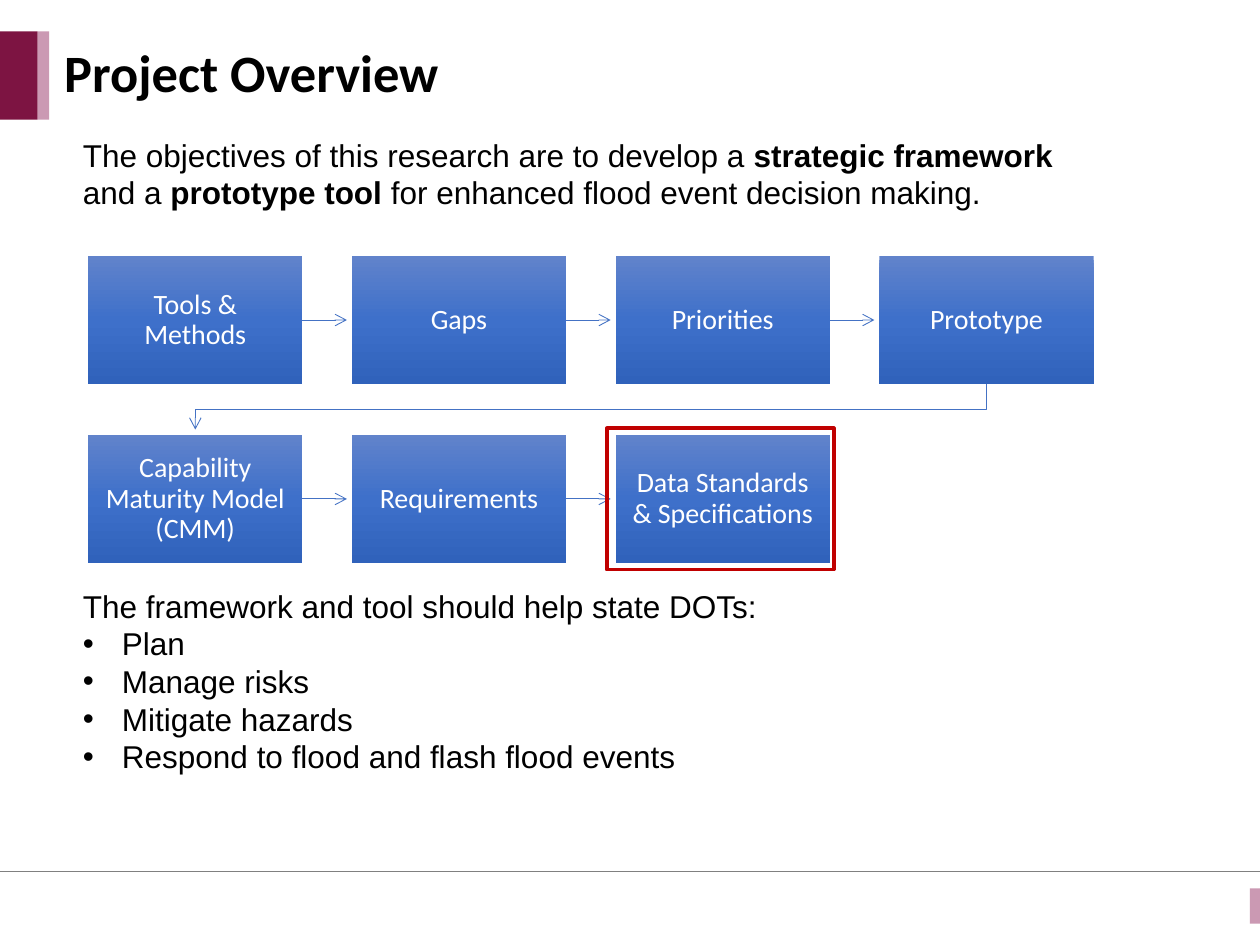
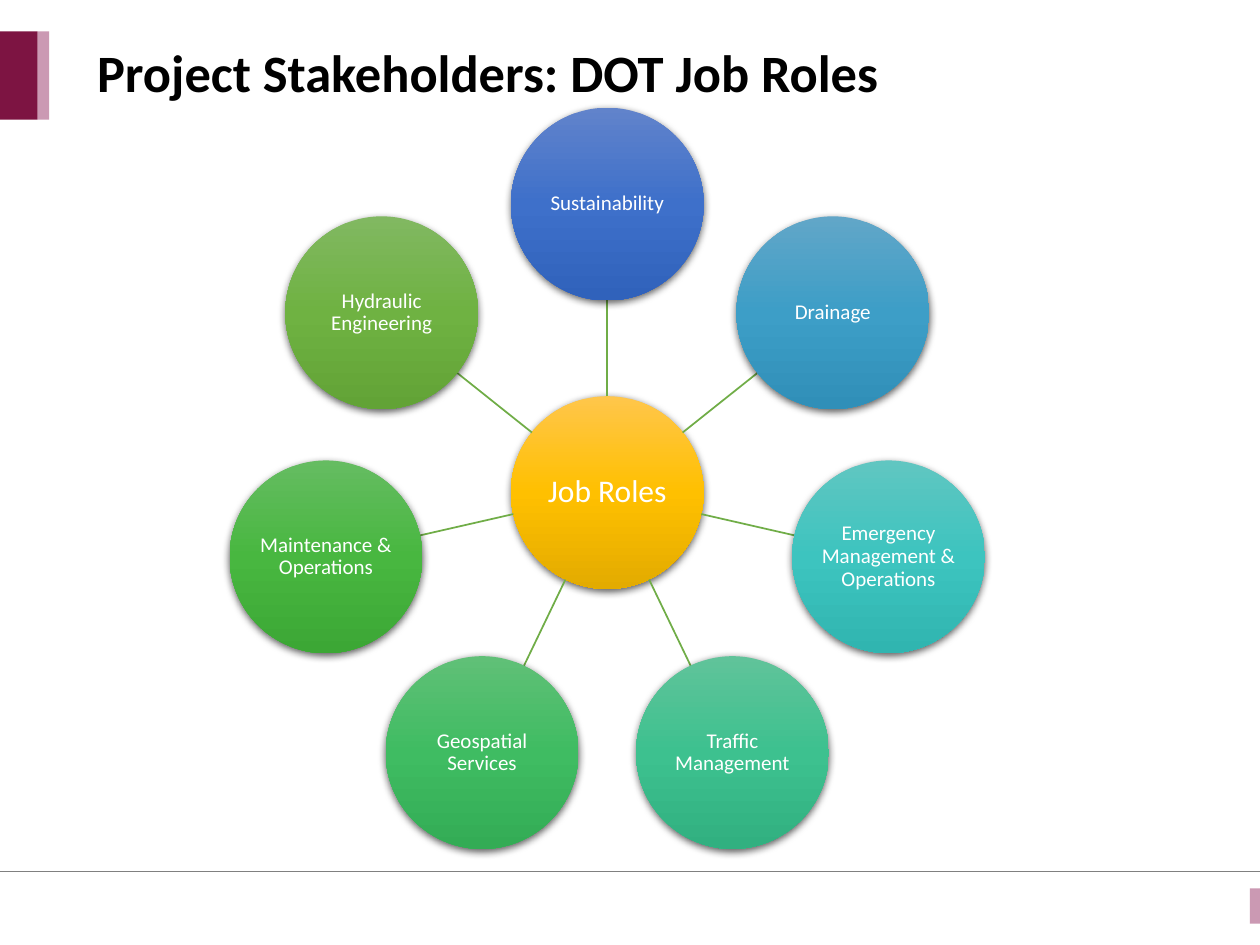
"""Build two project slides: a process overview and a wheel of job roles."""
from copy import deepcopy
from math import cos, pi, sin

from lxml.etree import SubElement
from pptx import Presentation
from pptx.dml.color import RGBColor
from pptx.enum.shapes import MSO_CONNECTOR as LINK, MSO_SHAPE as SHAPE
from pptx.enum.text import MSO_ANCHOR as ANCHOR, PP_ALIGN as ALIGN
from pptx.oxml.ns import qn
from pptx.util import Inches, Pt

BLACK = RGBColor(0x00, 0x00, 0x00)
WHITE = RGBColor(0xFF, 0xFF, 0xFF)
GREY = RGBColor(0x80, 0x80, 0x80)
MAROON = RGBColor(0x7D, 0x14, 0x42)
PINK = RGBColor(0xCB, 0x99, 0xB3)
ARROW_BLUE = RGBColor(0x44, 0x72, 0xC4)
SPOKE_GREEN = RGBColor(0x70, 0xAD, 0x47)
ALERT_RED = RGBColor(0xC0, 0x00, 0x00)


def shades(*codes):
    """Return the colours of a gradient from top to bottom."""
    return [RGBColor.from_string(code) for code in codes]


BLUE = shades("6183CB", "3E70CA", "3062BB")
GOLD = shades("FFC64B", "FFC000", "E3AB00")

HEADING_FONT, BODY_FONT = "Calibri", "Arial"

STEPS = [
    ["Tools & Methods", "Gaps", "Priorities", "Prototype"],
    ["Capability Maturity Model (CMM)", "Requirements", "Data Standards & Specifications"],
]
INTRO = [
    ("The objectives of this research are to develop a ", False),
    ("strategic framework ", True),
    ("and a ", False),
    ("prototype tool ", True),
    ("for enhanced flood event decision making.", False),
]
BENEFITS = ["Plan", "Manage risks", "Mitigate hazards", "Respond to flood and flash flood events"]
ROLES = [
    ("Sustainability", BLUE),
    ("Drainage", shades("61A6C8", "3D9EC7", "308FB8")),
    ("Emergency Management & Operations", shades("60C6C1", "3DC4BF", "30B5B0")),
    ("Traffic Management", shades("60C39A", "3DC18F", "31B080")),
    ("Geospatial Services", shades("60C077", "3FBC62", "33AC55")),
    ("Maintenance & Operations", shades("65BC61", "48B740", "3CA735")),
    ("Hydraulic Engineering", shades("81B861", "6FB242", "62A336")),
]


def style_font(font, name, size, color, bold=False):
    """Set the face, size, colour and weight of a font."""
    font.name, font.size, font.bold = name, Pt(size), bold
    font.color.rgb = color


def add_plain(page, kind, left, top, width, height, fill=None):
    """Add a shape without line or shadow, filled with one colour or none."""
    shape = page.shapes.add_shape(kind, *map(Inches, (left, top, width, height)))
    shape.shadow.inherit = False
    shape.line.fill.background()
    if fill is None:
        shape.fill.background()
    else:
        shape.fill.solid()
        shape.fill.fore_color.rgb = fill
    return shape


def add_node(page, kind, bounds, label, colors, size, inset):
    """Add a gradient shape with a centred white label."""
    node = add_plain(page, kind, *bounds)
    node.fill.gradient()
    stop_list = node._element.spPr.find(".//" + qn("a:gsLst"))
    stop_list.insert(1, deepcopy(stop_list[0]))
    for stop, position, color in zip(node.fill.gradient_stops, (0, 0.5, 1), colors):
        stop.position = position
        stop.color.rgb = color
    node.fill.gradient_angle = 270
    frame = node.text_frame
    frame.word_wrap = True
    frame.vertical_anchor = ANCHOR.MIDDLE
    frame.margin_left = frame.margin_right = Inches(inset)
    frame.margin_top = frame.margin_bottom = Inches(inset)
    frame.text = label
    para = frame.paragraphs[0]
    para.alignment, para.line_spacing = ALIGN.CENTER, 0.9
    style_font(para.runs[0].font, HEADING_FONT, size, WHITE)
    return node


def add_drop_shadow(shape):
    """Give a shape a soft shadow that falls straight down."""
    effects = shape._element.spPr.find(qn("a:effectLst"))
    shadow = SubElement(effects, qn("a:outerShdw"), blurRad=str(Pt(4.5)),
                        dist=str(Pt(1.5)), dir="5400000", rotWithShape="0")
    color = SubElement(shadow, qn("a:srgbClr"), val="000000")
    SubElement(color, qn("a:alpha"), val="63000")


def add_link(page, start, end, color, width):
    """Add a straight line without shadow."""
    link = page.shapes.add_connector(LINK.STRAIGHT, *map(Inches, (*start, *end)))
    link.line.color.rgb, link.line.width = color, Pt(width)
    SubElement(link._element.spPr, qn("a:effectLst"))
    return link


def add_arrowhead(shape):
    """Put an open arrowhead at the end of a line."""
    SubElement(shape._element.spPr.find(qn("a:ln")), qn("a:tailEnd"), type="arrow")


def add_page(deck, title, left):
    """Add a slide with its bands, footer line and title."""
    page = deck.slides.add_slide(deck.slide_layouts[5])
    add_link(page, (0, 6.92), (10, 6.92), GREY, 0.5)
    add_plain(page, SHAPE.RECTANGLE, 9.92, 7.05, 0.08, 0.28, PINK)
    add_plain(page, SHAPE.RECTANGLE, 0, 0.25, 0.3, 0.7, MAROON)
    add_plain(page, SHAPE.RECTANGLE, 0.3, 0.25, 0.09, 0.7, PINK)
    box = page.shapes.title
    box.left, box.top, box.width, box.height = map(Inches, (left, 0.25, 8.92, 0.7))
    box.text_frame.text = title
    box.text_frame.vertical_anchor = ANCHOR.MIDDLE
    para = box.text_frame.paragraphs[0]
    para.alignment, para.line_spacing = ALIGN.LEFT, 0.9
    style_font(para.runs[0].font, HEADING_FONT, 30, BLACK, True)
    return page


def add_text(page, left, top, width, height):
    """Add a wrapping text box and return its frame."""
    frame = page.shapes.add_textbox(*map(Inches, (left, top, width, height))).text_frame
    frame.word_wrap = True
    return frame


def style_body(para):
    """Set the line pitch of a body paragraph and the font of its plain runs."""
    para.line_spacing = Pt(21.5)
    for span in para.runs:
        style_font(span.font, BODY_FONT, 18, BLACK, bool(span.font.bold))


def add_intro(page, left, top, width):
    """Add the statement of objectives with its key terms in bold."""
    para = add_text(page, left, top, width, 0.7).paragraphs[0]
    for text, bold in INTRO:
        span = para.add_run()
        span.text, span.font.bold = text, bold
    style_body(para)


def add_benefits(page, left, top, width):
    """Add the lead sentence and its bullet list."""
    frame = add_text(page, left, top, width, 1.6)
    frame.text = "\n".join(["The framework and tool should help state DOTs:", *BENEFITS])
    for para in frame.paragraphs[1:]:
        props = para._p.get_or_add_pPr()
        props.set("marL", str(Inches(0.31)))
        props.set("indent", str(-Inches(0.31)))
        SubElement(props, qn("a:buFont"), typeface=BODY_FONT)
        SubElement(props, qn("a:buChar"), char="•")
    for para in frame.paragraphs:
        style_body(para)


def add_process(page, left, top, width, height):
    """Add the rows of steps, the arrows between them and the highlight."""
    step_w, step_h, gap = 1.7, 1.02, 0.04
    pitch_x, pitch_y = (width - step_w) / 3, height - step_h
    for row, labels in enumerate(STEPS):
        y = top + row * pitch_y
        for column, label in enumerate(labels):
            x = left + column * pitch_x
            add_node(page, SHAPE.RECTANGLE, (x, y, step_w, step_h), label, BLUE, 16, 0.12)
            if column:
                middle = y + step_h / 2
                start = (x - pitch_x + step_w, middle)
                add_arrowhead(add_link(page, start, (x - gap, middle), ARROW_BLUE, 0.5))
    first_x, last_x = left + step_w / 2, left + width - step_w / 2
    turn_y, end_y = top + (height / 2), top + pitch_y - gap
    builder = page.shapes.build_freeform(Inches(last_x), Inches(top + step_h))
    corners = [(last_x, turn_y), (first_x, turn_y), (first_x, end_y)]
    builder.add_line_segments([(Inches(a), Inches(b)) for a, b in corners], close=False)
    turn = builder.convert_to_shape()
    turn.shadow.inherit = False
    turn.fill.background()
    turn.line.color.rgb, turn.line.width = ARROW_BLUE, Pt(0.5)
    add_arrowhead(turn)
    frame = add_plain(page, SHAPE.RECTANGLE, x - 0.07, y - 0.05, step_w + 0.1, step_h + 0.1)
    frame.line.color.rgb, frame.line.width = ALERT_RED, Pt(2.25)


def add_wheel(page, center_x, center_y, orbit, diameter):
    """Add the hub and a ring of roles, each joined to it by a spoke."""
    radius = diameter / 2

    def add_disc(x, y, label, colors, size):
        """Add one shadowed circle around a point."""
        bounds = (x - radius, y - radius, diameter, diameter)
        add_drop_shadow(add_node(page, SHAPE.OVAL, bounds, label, colors, size, 0.01))

    def point(angle, distance):
        """Return the point at a clockwise angle from the top."""
        return center_x + distance * sin(angle), center_y - distance * cos(angle)

    add_disc(center_x, center_y, "Job Roles", GOLD, 18)
    for index, (role, colors) in enumerate(ROLES):
        angle = 2 * pi * index / len(ROLES)
        add_link(page, point(angle, radius), point(angle, orbit - radius), SPOKE_GREEN, 1)
        add_disc(*point(angle, orbit), role, colors, 12)


def main():
    """Build the deck and save it."""
    deck = Presentation()
    deck.slide_width, deck.slide_height = Inches(10), Inches(7.5)
    overview = add_page(deck, "Project Overview", 0.41)
    add_intro(overview, 0.56, 1.03, 8.12)
    add_process(overview, 0.7, 2.03, 7.98, 2.44)
    add_benefits(overview, 0.56, 4.61, 8.12)
    stakeholders = add_page(deck, "Project Stakeholders: DOT Job Roles", 0.67)
    add_wheel(stakeholders, 4.82, 3.91, 2.29, 1.53)
    deck.save("out.pptx")


if __name__ == "__main__":
    main()
